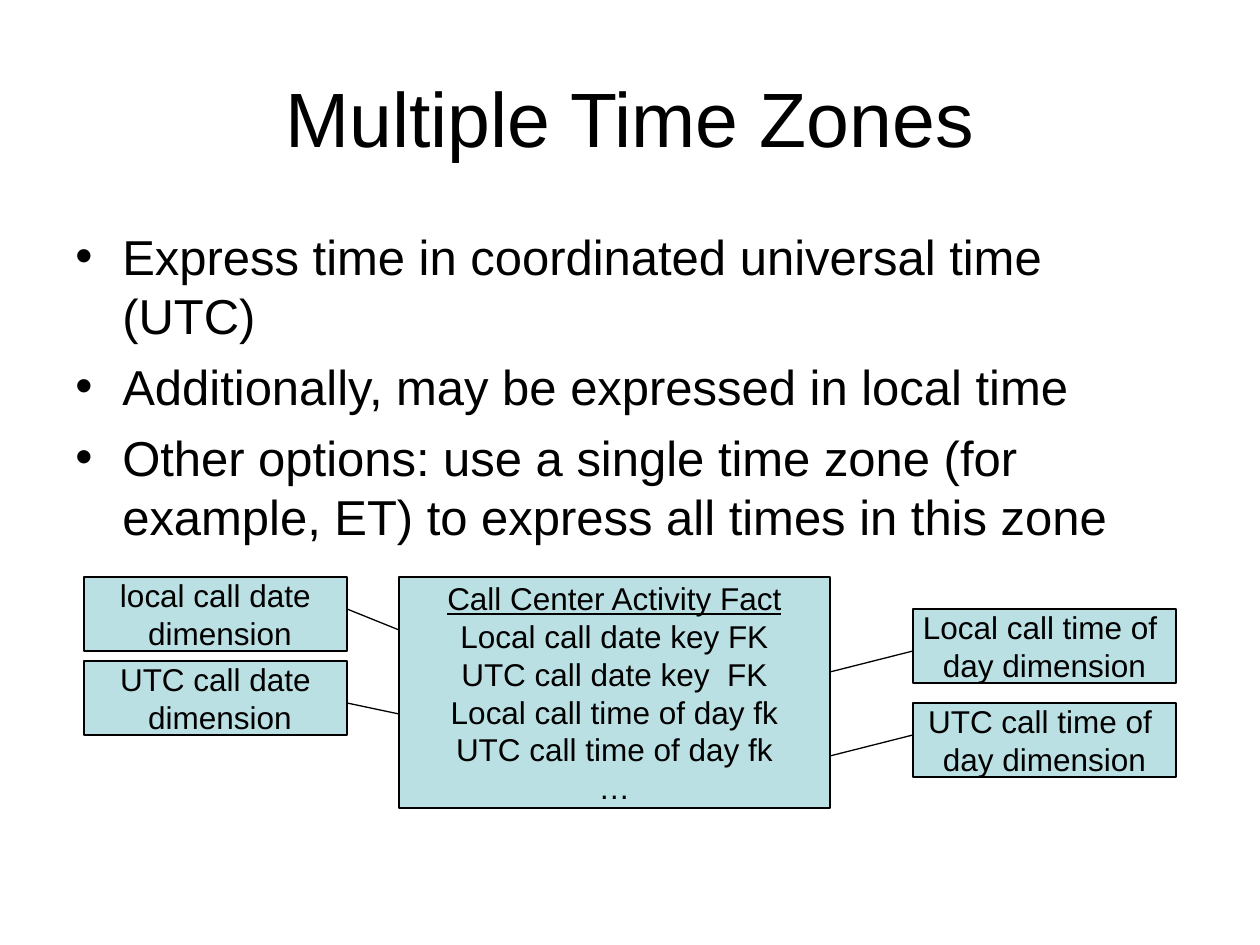
from lxml.etree import SubElement
from pptx import Presentation
from pptx.dml.color import RGBColor
from pptx.enum.shapes import MSO_CONNECTOR, MSO_SHAPE
from pptx.enum.text import MSO_ANCHOR as ANCHOR, PP_ALIGN as ALIGN
from pptx.oxml.ns import qn
from pptx.util import Pt

PX = 914400 // 126
COLORS = {"ink": "000000", "table": "BBE0E3"}
FONT = "Arial"

TITLE = "Multiple Time Zones"
BULLETS = [
    "Express time in coordinated universal time (UTC)",
    "Additionally, may be expressed in local time",
    "Other options: use a single time zone (for example, ET) to express all times in this zone",
]
FACT = [
    "Call Center Activity Fact",
    "Local call date key FK",
    "UTC call date key  FK",
    "Local call time of day fk",
    "UTC call time of day fk",
    "…",
]
FACT_BOX = (399, 577, 431, 231)
DIM_W, DIM_H = 263, 74
LEFT_X, RIGHT_X = 84, 913
# lines, box left, box top, link height at the fact, link height at the dimension
DIMENSIONS = [
    (["local call date", " dimension"], LEFT_X, 577, 630, 609),
    (["UTC call date", " dimension"], LEFT_X, 661, 714, 703),
    (["Local call time of ", "day dimension"], RIGHT_X, 609, 672, 651),
    (["UTC call time of ", "day dimension"], RIGHT_X, 703, 756, 735),
]


def px(*lengths):
    return [length * PX for length in lengths]


def color(name):
    return RGBColor.from_string(COLORS[name])


def write(shape, lines, size=18, align=ALIGN.CENTER, anchor=ANCHOR.MIDDLE,
          wrap=True, before=0, bullet_indent=0, underline_first=False):
    frame = shape.text_frame
    frame.word_wrap = wrap
    frame.vertical_anchor = anchor
    for i, line in enumerate(lines):
        para = frame.paragraphs[0] if i == 0 else frame.add_paragraph()
        para.alignment = align
        para.space_before = Pt(before)
        if bullet_indent:
            props = para._p.get_or_add_pPr()
            props.set("marL", str(bullet_indent * PX))
            props.set("indent", str(-bullet_indent * PX))
            SubElement(props, qn("a:buFont"), typeface=FONT)
            SubElement(props, qn("a:buChar"), char="•")
        run = para.add_run()
        run.text = line
        run.font.name = FONT
        run.font.size = Pt(size)
        run.font.color.rgb = color("ink")
        if underline_first and i == 0:
            run.font.underline = True


def outline(shape):
    shape.line.color.rgb = color("ink")
    shape.line.width = Pt(0.75)


def add_table_box(slide, box, lines, **text_format):
    rect = slide.shapes.add_shape(MSO_SHAPE.RECTANGLE, *px(*box))
    rect.shadow.inherit = False
    rect.fill.solid()
    rect.fill.fore_color.rgb = color("table")
    outline(rect)
    write(rect, lines, wrap=False, **text_format)


def add_link(slide, start, end):
    link = slide.shapes.add_connector(MSO_CONNECTOR.STRAIGHT, *px(*start, *end))
    outline(link)
    SubElement(link._element.spPr, qn("a:effectLst"))


def main():
    deck = Presentation()
    deck.slide_width, deck.slide_height = px(1260, 945)
    slide = deck.slides.add_slide(deck.slide_layouts[6])

    title = slide.shapes.add_textbox(*px(63, 38, 1134, 157))
    write(title, [TITLE], size=44)
    body = slide.shapes.add_textbox(*px(63, 220, 1134, 624))
    write(body, BULLETS, size=28, align=ALIGN.LEFT, anchor=ANCHOR.TOP,
          before=7, bullet_indent=47)

    add_table_box(slide, FACT_BOX, FACT, underline_first=True)
    fact_left, fact_right = FACT_BOX[0], FACT_BOX[0] + FACT_BOX[2]
    for lines, x, y, fact_y, dim_y in DIMENSIONS:
        add_table_box(slide, (x, y, DIM_W, DIM_H), lines)
        if x < fact_left:
            fact_x, dim_x = fact_left, x + DIM_W
        else:
            fact_x, dim_x = fact_right, x
        add_link(slide, (fact_x, fact_y), (dim_x, dim_y))

    deck.save("out.pptx")


if __name__ == "__main__":
    main()
